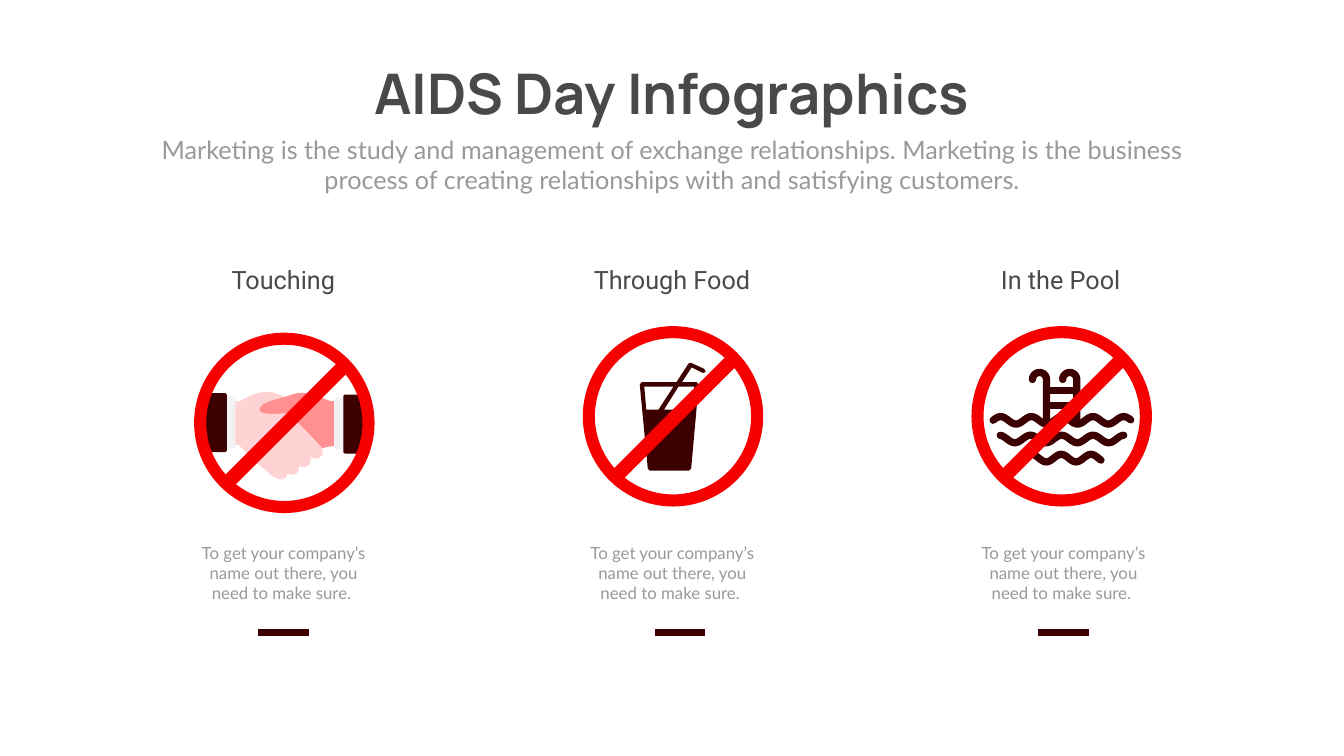
from dataclasses import dataclass
from math import cos, pi, sin
from typing import Callable

from lxml import etree
from pptx import Presentation
from pptx.dml.color import RGBColor
from pptx.enum.shapes import MSO_CONNECTOR, MSO_SHAPE
from pptx.enum.text import MSO_AUTO_SIZE, PP_ALIGN
from pptx.oxml.ns import qn
from pptx.util import Inches, Pt

DONUT, RECT, ROUND = MSO_SHAPE.DONUT, MSO_SHAPE.RECTANGLE, MSO_SHAPE.ROUNDED_RECTANGLE
STRAIGHT = MSO_CONNECTOR.STRAIGHT
CENTER, GROW = PP_ALIGN.CENTER, MSO_AUTO_SIZE.SHAPE_TO_FIT_TEXT

SLIDE_W, SLIDE_H = 26.66, 15
PITCH = 7.71  # distance between column centres
FIRST_X = SLIDE_W / 2 + 0.02 - PITCH
HEADING_Y, CAPTION_Y, BAR_Y = 5.19, 10.72, 12.55
SIGN_D, RING_W, SLASH_L, SLASH_W = 3.58, 0.24, 3.45, 0.28

Point = tuple[float, float]


@dataclass(frozen=True)
class Style:
    font: str
    size: int
    color: str
    bold: bool = False


@dataclass(frozen=True)
class Theme:
    title: Style = Style("Manrope", 80, "494949", True)
    subtitle: Style = Style("Lato", 36, "999999")
    heading: Style = Style("Roboto", 36, "494949")
    caption: Style = Style("Lato", 24, "999999")
    dark: str = "3D0001"
    red: str = "F70100"
    skin: str = "FFD2D3"
    skin_shade: str = "FF8F91"
    cuff: str = "F2F2F2"
    stroke: float = 10.4
    bar: float = 10


@dataclass(frozen=True)
class Column:
    heading: str
    icon: Callable[[float, float], None]
    sign_y: float
    caption_dx: float
    bar_dx: float


@dataclass(frozen=True)
class Wave:
    start: float
    end: float
    crest: float
    length: float
    y: float


THEME = Theme()
CAPTION = "To get your company’s name out there, you need to make sure. "

# Icon outlines, in inches from the sign centre. Each entry is a line end (x, y)
# or a cubic curve (two control points and an end).
HANDS = (
    (THEME.skin, [(-.85, -.43), (-.85, -.43, -.49, -.7, -.19, -.59),
                  (.12, -.49, .28, -.39, .28, -.39), (.04, -.05)]),
    (THEME.skin_shade, [(1.2, -.44), (1.2, -.44, .95, -.42, .89, -.44),
                        (.84, -.45, .46, -.65, .22, -.58), (-.19, -.47, -.74, -.18, -.77, -.09),
                        (-.8, -.01, .01, .96, .1, .88), (.19, .8, .47, .76, .71, .52),
                        (.83, .46, 1.22, .43, 1.22, .43)]),
    (THEME.skin, [(-1.2, -.43), (-1.2, -.43, -.94, -.42, -.89, -.43),
                  (-.84, -.45, -.49, -.68, -.29, -.53), (-.09, -.38, .71, .43, .75, .51),
                  (.79, .61, .72, .72, .61, .71), (.56, .7, .52, .68, .52, .68),
                  (.52, .68, .54, .79, .48, .84), (.41, .91, .29, .85, .29, .85),
                  (.29, .85, .3, .96, .24, 1), (.17, 1.06, .08, 1.01, .06, 1),
                  (.06, 1.05, .04, 1.08, -.01, 1.11), (-.06, 1.14, -.18, 1.11, -.27, 1.03),
                  (-.36, .94, -.66, .71, -.9, .44), (-1.02, .41, -1.22, .44, -1.22, .44)]),
)
THUMB = [(.13, -.53), (.09, -.53, -.53, -.42, -.49, -.25),
         (-.44, -.09, .17, -.26, .4, -.17), (.63, -.08, .13, -.53, .13, -.53)]
CUFFS = (  # left, top, width, height, colour
    (.99, -.49, .31, 1.02, THEME.cuff), (-1.28, -.52, .31, 1.02, THEME.cuff),
    (1.17, -.56, .45, 1.17, THEME.dark), (-1.6, -.59, .46, 1.17, THEME.dark),
)
GLASS = [
    [(.62, -.94), (.36, -1.06), (.31, -1.05), (.07, -.68), (-.62, -.68), (-.66, -.63),
     (-.5, 1.04), (-.46, 1.08), (.31, 1.08), (.36, 1.04), (.51, -.63), (.47, -.68),
     (.18, -.68), (.37, -.97), (.59, -.86), (.65, -.88)],
    [(.01, -.59), (-.29, -.13), (-.53, -.13), (-.57, -.59)],
    [(.42, -.59), (.37, -.13), (-.18, -.13), (.11, -.59)],
]
WAVES = (Wave(-1.36, 1.37, -1.21, .61, .08), Wave(-1.22, 1.23, -1.24, .62, .45),
         Wave(-.79, .78, -.6, .59, .83))
RAILS, RAIL_R, RAIL_TOP, RAIL_END = (-.44, .16), .14, -.73, .1
RUNGS = (-.51, -.21)

prs = Presentation()
prs.slide_width, prs.slide_height = Inches(SLIDE_W), Inches(SLIDE_H)
shapes = prs.slides.add_slide(prs.slide_layouts[6]).shapes


def paint(sp, color: str) -> None:
    sp.shadow.inherit = False
    sp.fill.solid()
    sp.fill.fore_color.rgb = RGBColor.from_string(color)
    sp.line.fill.background()


def add_text(text: str, x: float, y: float, w: float, h: float, style: Style, wrap=True) -> None:
    tf = shapes.add_textbox(Inches(x), Inches(y), Inches(w), Inches(h)).text_frame
    tf.word_wrap, tf.auto_size = wrap, GROW
    p = tf.paragraphs[0]
    p.text, p.alignment = text, CENTER
    p.font.name, p.font.size, p.font.bold = style.font, Pt(style.size), style.bold
    p.font.color.rgb = RGBColor.from_string(style.color)


def add_preset(kind, x: float, y: float, w: float, h: float, color: str):
    sp = shapes.add_shape(kind, Inches(x), Inches(y), Inches(w), Inches(h))
    paint(sp, color)
    return sp


def flatten(outline: list[tuple], steps: int = 12) -> list[Point]:
    """Turn lines and cubic curves into a list of points."""
    points = [outline[0]]
    for seg in outline[1:]:
        if len(seg) == 2:
            points.append(seg)
            continue
        (x0, y0), (x1, y1, x2, y2, x3, y3) = points[-1], seg
        for t in (i / steps for i in range(1, steps + 1)):
            a, b, c, d = (1 - t) ** 3, 3 * t * (1 - t) ** 2, 3 * t * t * (1 - t), t ** 3
            points.append((a * x0 + b * x1 + c * x2 + d * x3, a * y0 + b * y1 + c * y2 + d * y3))
    return points


def add_outline(cx: float, cy: float, contours: list[list[Point]], close=True):
    moved = [[(Inches(cx + x), Inches(cy + y)) for x, y in contour] for contour in contours]
    fb = shapes.build_freeform(*moved[0][0])
    for i, contour in enumerate(moved):
        if i:
            fb.move_to(*contour[0])
        fb.add_line_segments(contour[1:], close=close)
    return fb.convert_to_shape()


def add_strokes(cx: float, cy: float, lines: list[list[Point]]) -> None:
    """Draw open lines with round ends as one shape."""
    sp = add_outline(cx, cy, lines, close=False)
    sp.shadow.inherit = False
    sp.fill.background()
    sp.line.width = Pt(THEME.stroke)
    sp.line.color.rgb = RGBColor.from_string(THEME.dark)
    ln = sp.line._get_or_add_ln()
    ln.set("cap", "rnd")
    etree.SubElement(ln, qn("a:round"))


def draw_handshake(cx: float, cy: float) -> None:
    for color, outline in HANDS:
        paint(add_outline(cx, cy, [flatten(outline)]), color)
    for x, y, w, h, color in CUFFS:
        add_preset(ROUND, cx + x, cy + y, w, h, color).adjustments[0] = 0.09
    paint(add_outline(cx, cy, [flatten(THUMB)]), THEME.skin_shade)


def draw_glass(cx: float, cy: float) -> None:
    paint(add_outline(cx, cy, GLASS), THEME.dark)


def wave_points(w: Wave, steps: int = 60) -> list[Point]:
    xs = [w.start + (w.end - w.start) * i / steps for i in range(steps + 1)]
    return [(x, w.y - .075 * cos(2 * pi * (x - w.crest) / w.length)) for x in xs]


def draw_pool(cx: float, cy: float) -> None:
    rails = [[(x - RAIL_R * cos(pi * i / 12), RAIL_TOP - RAIL_R * sin(pi * i / 12))
              for i in range(13)] + [(x + RAIL_R, RAIL_END)] for x in RAILS]
    rungs = [[(x + RAIL_R, y) for x in RAILS] for y in RUNGS]
    surface, *lower = [wave_points(w) for w in WAVES]
    add_strokes(cx, cy, [surface, *rails, *rungs])
    for points in lower:
        add_strokes(cx, cy, [points])


def draw_prohibition(cx: float, cy: float) -> None:
    ring = add_preset(DONUT, cx - SIGN_D / 2, cy - SIGN_D / 2, SIGN_D, SIGN_D, THEME.red)
    ring.adjustments[0] = RING_W / SIGN_D
    slash = add_preset(RECT, cx + .05 - SLASH_L / 2, cy + .01 - SLASH_W / 2,
                       SLASH_L, SLASH_W, THEME.red)
    slash.rotation = -45


def draw_column(col: Column, cx: float) -> None:
    add_text(col.heading, cx - 2.43, HEADING_Y, 4.82, .71, THEME.heading)
    col.icon(cx, col.sign_y)
    draw_prohibition(cx, col.sign_y)
    add_text(CAPTION, cx + col.caption_dx - 1.82, CAPTION_Y, 3.61, 1.31, THEME.caption)
    x = cx + col.bar_dx
    bar = shapes.add_connector(STRAIGHT, Inches(x - .5), Inches(BAR_Y), Inches(x + .5), Inches(BAR_Y))
    bar.line.width = Pt(THEME.bar)
    bar.line.color.rgb = RGBColor.from_string(THEME.dark)
    etree.SubElement(bar._element.spPr, qn("a:effectLst"))


COLUMNS = (Column("Touching", draw_handshake, 8.39, 0, -.02),
           Column("Through Food", draw_glass, 8.26, 0, .14),
           Column("In the Pool", draw_pool, 8.26, .05, .04))

add_text("AIDS Day Infographics", 6.83, 1.12, 12.99, 1.45, THEME.title, wrap=False)
add_text("Marketing is the study and management of exchange relationships. Marketing is the "
         "business process of creating relationships with and satisfying customers.",
         2.92, 2.61, 20.82, 1.31, THEME.subtitle)
for i, column in enumerate(COLUMNS):
    draw_column(column, FIRST_X + i * PITCH)
prs.save("out.pptx")
